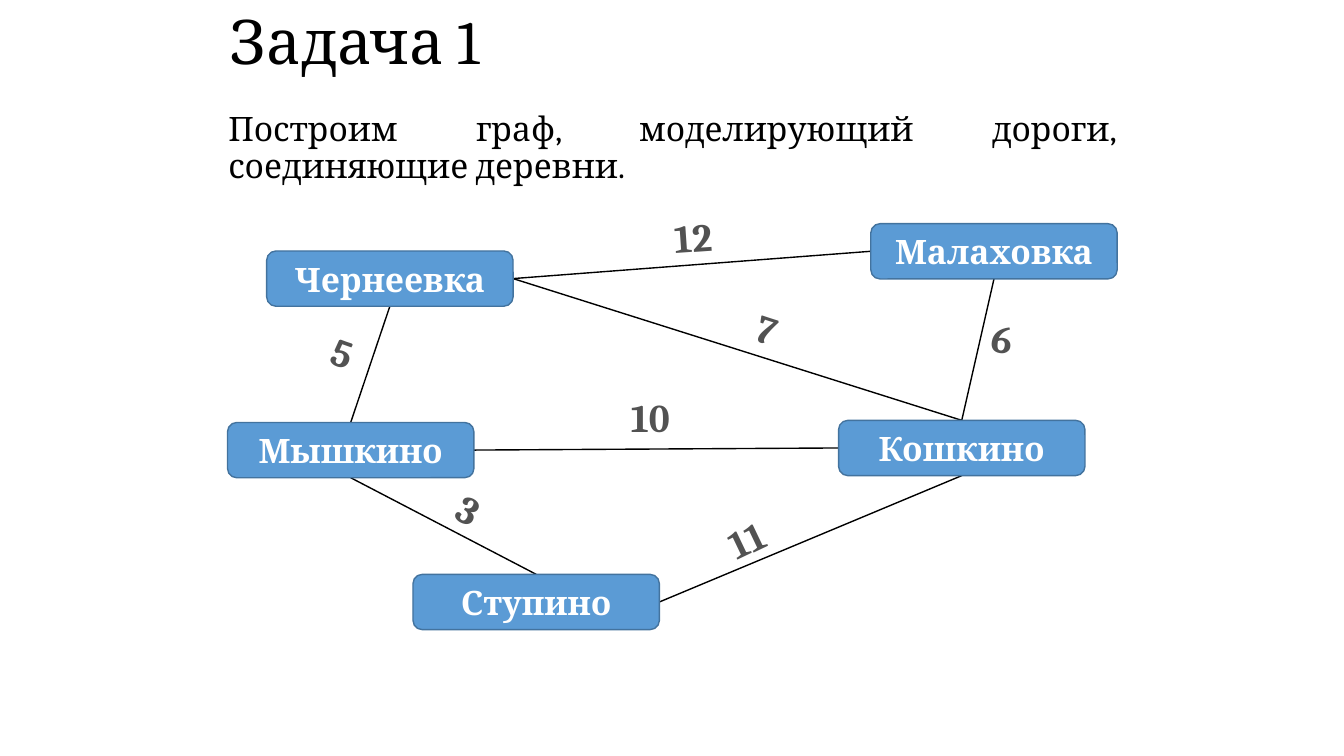
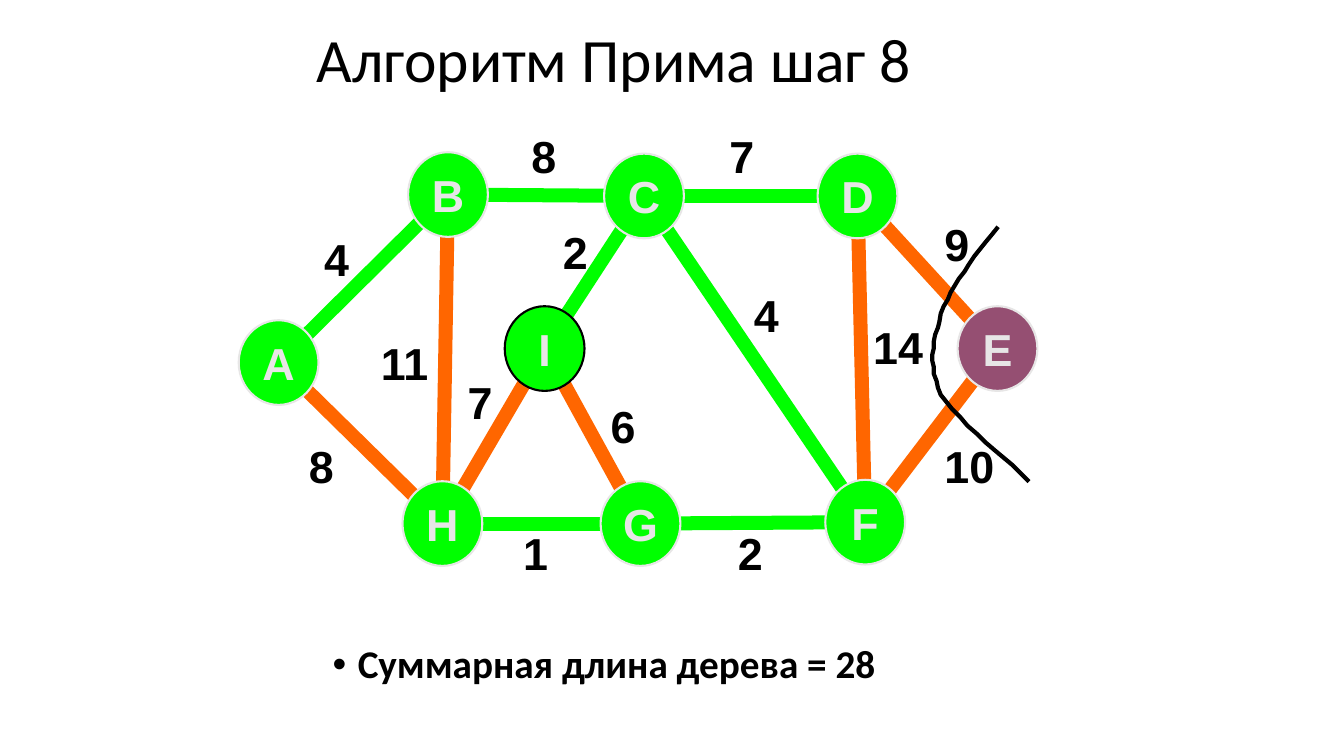
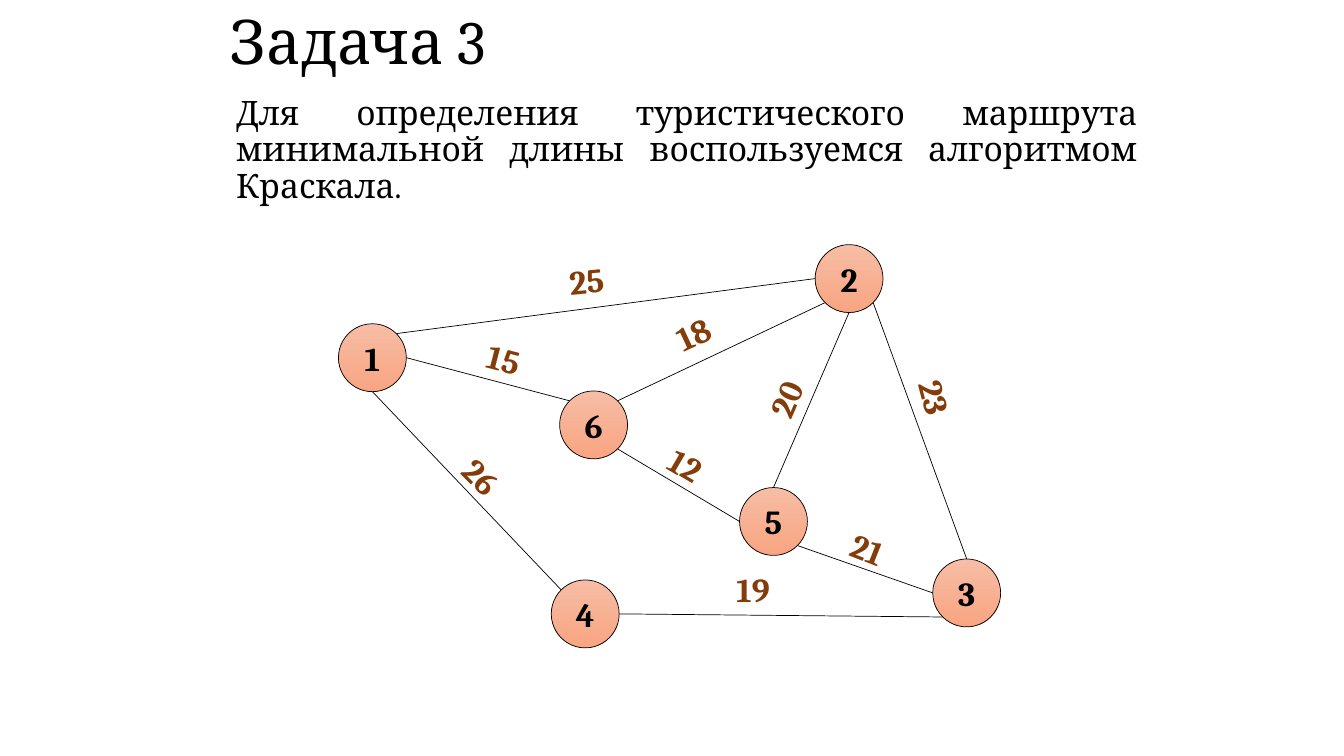
"""Three slides on weighted graphs: village roads, Prim's algorithm and a tourist route."""
from lxml import etree
from pptx import Presentation
from pptx.dml.color import RGBColor
from pptx.enum import shapes, text
from pptx.oxml import ns
from pptx.util import Pt

BLACK = RGBColor(0x00, 0x00, 0x00)
WHITE = RGBColor(0xFF, 0xFF, 0xFF)
BLUE = RGBColor(0x5B, 0x9B, 0xD5)
DARK_BLUE = RGBColor(0x43, 0x73, 0x9E)
DARK_GRAY = RGBColor(0x52, 0x52, 0x52)
PALE_GRAY = RGBColor(0xE7, 0xE6, 0xE6)
GREEN = RGBColor(0x00, 0xFF, 0x00)
ORANGE = RGBColor(0xFF, 0x66, 0x00)
PURPLE = RGBColor(0x95, 0x4F, 0x72)
PEACH = RGBColor(0xF7, 0xBD, 0xA5)
SALMON = RGBColor(0xF8, 0xA5, 0x82)
BROWN = RGBColor(0x84, 0x3C, 0x0B)

CENTER, LEFT, JUSTIFY = text.PP_ALIGN.CENTER, text.PP_ALIGN.LEFT, text.PP_ALIGN.JUSTIFY
MIDDLE, TOP = text.MSO_ANCHOR.MIDDLE, text.MSO_ANCHOR.TOP

MID, N, S, W, E = (0, 0), (0, -1), (0, 1), (-1, 0), (1, 0)
NE, NW, SE, SW = (0.71, -0.71), (-0.71, -0.71), (0.71, 0.71), (-0.71, 0.71)


def write(holder, words, font, size, color, bold=True, align=CENTER, anchor=MIDDLE, wrap=False):
    """Put one formatted paragraph into a shape and return it."""
    frame = holder.text_frame
    frame.text = words
    frame.word_wrap = wrap
    frame.auto_size = text.MSO_AUTO_SIZE.NONE
    frame.vertical_anchor = anchor
    paragraph = frame.paragraphs[0]
    paragraph.alignment = align
    paragraph.font.name = font
    paragraph.font.size = Pt(size)
    paragraph.font.bold = bold
    paragraph.font.color.rgb = color
    return paragraph


def link(slide, start, end, color, width):
    """Draw a straight edge without a shadow."""
    edge = slide.shapes.add_connector(
        shapes.MSO_CONNECTOR.STRAIGHT, *[Pt(v) for v in (*start, *end)])
    edge.line.color.rgb = color
    edge.line.width = Pt(width)
    etree.SubElement(edge._element.spPr, ns.qn("a:effectLst"))


roads = {
    "title": "Задача 1", "title_box": (157, 3.5, 648, 57), "title_font": "Cambria",
    "note": "Построим граф, моделирующий дороги, соединяющие деревни.",
    "note_box": (156, 77, 648, 68), "note_size": 24, "bullet": False,
    "outline": shapes.MSO_SHAPE.ROUNDED_RECTANGLE, "node_size": (176, 39.5),
    "node_text": ("Cambria", 24, WHITE), "border": 1, "edge_width": 1,
    "nodes": {
        "Чернеевка": (278.5, 199, [BLUE], DARK_BLUE),
        "Мышкино": (250.5, 321.5, [BLUE], DARK_BLUE),
        "Ступино": (383, 430, [BLUE], DARK_BLUE),
        "Кошкино": (687, 320, [BLUE], DARK_BLUE),
        "Малаховка": (710, 179.5, [BLUE], DARK_BLUE),
    },
    "edges": [
        ("Мышкино", N, "Чернеевка", S, BLACK),
        ("Кошкино", N, "Малаховка", S, BLACK),
        ("Мышкино", E, "Кошкино", W, BLACK),
        ("Чернеевка", E, "Малаховка", W, BLACK),
        ("Ступино", E, "Кошкино", S, BLACK),
        ("Ступино", N, "Мышкино", S, BLACK),
        ("Кошкино", N, "Чернеевка", E, BLACK),
    ],
    "weight_text": ("Cambria", 28, DARK_GRAY),
    "weights": [
        ("12", 495, 169, -3.9), ("7", 548, 234.5, 18), ("10", 464.5, 297.5, 0),
        ("11", 533, 385, -25.5), ("3", 335, 364, 27.9), ("6", 716, 241, 9.7),
        ("5", 245, 251.5, 19.3),
    ],
    "cut": [],
}

prim = {
    "title": "Алгоритм Прима шаг 8", "title_box": (219, 0, 586, 90), "title_font": "Calibri",
    "note": "Суммарная длина дерева = 28",
    "note_box": (230.5, 457, 521, 42.5), "note_size": 28, "bullet": True,
    "outline": shapes.MSO_SHAPE.OVAL, "node_size": (57, 60.5),
    "node_text": ("Arial", 32, PALE_GRAY), "border": 1.5, "edge_width": 10,
    "nodes": {
        "A": (199, 259, [GREEN], PALE_GRAY), "B": (320, 139, [GREEN], PALE_GRAY),
        "C": (460, 140, [GREEN], PALE_GRAY), "D": (612.5, 140, [GREEN], PALE_GRAY),
        "E": (712.5, 249, [PURPLE], PALE_GRAY), "F": (618, 373, [GREEN], PALE_GRAY),
        "G": (457.5, 374, [GREEN], PALE_GRAY), "H": (316, 374, [GREEN], PALE_GRAY),
        "I": (389, 249, [GREEN], BLACK),
    },
    "edges": [(a, MID, b, MID, color)
              for color, pairs in ((ORANGE, "GI IH BH HA EF DF DE"),
                                   (GREEN, "CF CI FG HG BC BA CD"))
              for a, b in pairs.split()],
    "weight_text": ("Arial", 32, BLACK),
    "weights": [
        ("4", 240.5, 185, 0), ("8", 229.5, 332.5, 0), ("11", 289, 259, 0),
        ("2", 411, 180, 0), ("7", 343, 287, 0), ("1", 382.5, 395, 0),
        ("6", 445, 304, 0), ("2", 536, 395, 0), ("4", 547.5, 225, 0),
        ("7", 530, 111, 0), ("8", 388.5, 111, 0), ("9", 683.5, 174, 0),
        ("14", 641.5, 247.5, 0), ("10", 692.5, 332.5, 0),
    ],
    "cut": [
        ((713, 162), (695.5, 183.5), (679.5, 204.5), (672.5, 224.5)),
        ((672.5, 224.5), (666, 245), (662.5, 261.5), (672.5, 281.5)),
        ((672.5, 281.5), (683.5, 301), (725, 333.5), (735, 343.5)),
    ],
}

route = {
    "title": "Задача 3", "title_box": (157, 3.5, 648, 57), "title_font": "Cambria",
    "note": "Для определения туристического маршрута минимальной длины "
            "воспользуемся алгоритмом Краскала.",
    "note_box": (161.5, 65.5, 658, 147.5), "note_size": 24, "bullet": False,
    "outline": shapes.MSO_SHAPE.OVAL, "node_size": (48.5, 48.5),
    "node_text": ("Cambria", 24, BLACK), "border": 0.5, "edge_width": 0.5,
    "nodes": {
        "1": (266, 255.5, [PEACH, SALMON], BLACK),
        "2": (606.5, 199, [PEACH, SALMON], BLACK),
        "3": (690.5, 423.5, [PEACH, SALMON], BLACK),
        "4": (418, 438.5, [PEACH, SALMON], BLACK),
        "5": (552.5, 372.5, [PEACH, SALMON], BLACK),
        "6": (424, 303.5, [PEACH, SALMON], BLACK),
    },
    "edges": [
        ("1", NE, "2", W, BLACK), ("6", NW, "1", E, BLACK), ("6", SE, "5", W, BLACK),
        ("1", S, "4", NW, BLACK), ("4", E, "3", SW, BLACK), ("2", SE, "3", N, BLACK),
        ("2", S, "5", N, BLACK), ("6", NE, "2", SW, BLACK), ("5", SE, "3", W, BLACK),
    ],
    "weight_text": ("Cambria", 24, BROWN),
    "weights": [
        ("25", 419, 200, -5.6), ("18", 495, 238, -25.2), ("15", 360, 256, 14.4),
        ("12", 490, 332, 30.5), ("20", 561, 285, -66.7), ("23", 668, 284, 75.3),
        ("21", 620, 392, 21.6), ("19", 538, 421, 0), ("26", 344, 340.5, 45.2),
    ],
    "cut": [],
}

deck = Presentation()
deck.slide_width, deck.slide_height = Pt(960), Pt(540)

for graph in (roads, prim, route):
    slide = deck.slides.add_slide(deck.slide_layouts[5])
    title = slide.shapes.title
    title.left, title.top, title.width, title.height = [Pt(v) for v in graph["title_box"]]
    heading = write(title, graph["title"], graph["title_font"], 44, BLACK,
                    bold=False, align=LEFT, wrap=True)
    heading.line_spacing = 0.9

    note_box = slide.shapes.add_textbox(*[Pt(v) for v in graph["note_box"]])
    bullet = graph["bullet"]
    note = write(note_box, graph["note"], graph["title_font"], graph["note_size"], BLACK,
                 bold=bullet, align=LEFT if bullet else JUSTIFY, anchor=TOP, wrap=True)
    note.line_spacing = 0.9
    note.space_before = Pt(10)
    if bullet:
        properties = note._p.get_or_add_pPr()
        properties.set("marL", str(Pt(18)))
        properties.set("indent", str(-Pt(18)))
        etree.SubElement(properties, ns.qn("a:buFont")).set("typeface", "Arial")
        etree.SubElement(properties, ns.qn("a:buChar")).set("char", "•")
        properties.append(properties.find(ns.qn("a:defRPr")))

    width, height = graph["node_size"]
    nodes = graph["nodes"]
    for first, first_side, second, second_side, color in graph["edges"]:
        start, end = [(nodes[name][0] + dx * width / 2, nodes[name][1] + dy * height / 2)
                      for name, (dx, dy) in ((first, first_side), (second, second_side))]
        link(slide, start, end, color, graph["edge_width"])

    for name, (x, y, colors, border) in nodes.items():
        node = slide.shapes.add_shape(graph["outline"], Pt(x - width / 2), Pt(y - height / 2),
                                      Pt(width), Pt(height))
        node.shadow.inherit = False
        if len(colors) == 1:
            node.fill.solid()
            node.fill.fore_color.rgb = colors[0]
        else:
            node.fill.gradient()
            node.fill.gradient_angle = 270
            for position, (stop, color) in enumerate(zip(node.fill.gradient_stops, colors)):
                stop.position = position
                stop.color.rgb = color
        node.line.color.rgb = border
        node.line.width = Pt(graph["border"])
        write(node, name, *graph["node_text"])

    for weight, x, y, angle in graph["weights"]:
        label = slide.shapes.add_textbox(Pt(x - 22), Pt(y - 20), Pt(44), Pt(40))
        label.rotation = angle
        write(label, weight, *graph["weight_text"])

    if graph["cut"]:
        points = [tuple((1 - t) ** 3 * a + 3 * t * (1 - t) ** 2 * b
                        + 3 * t ** 2 * (1 - t) * c + t ** 3 * d
                        for a, b, c, d in zip(*bend))
                  for bend in graph["cut"] for t in [step / 12 for step in range(13)]]
        builder = slide.shapes.build_freeform(*points[0], scale=Pt(1))
        builder.add_line_segments(points[1:], close=False)
        cut = builder.convert_to_shape()
        cut.shadow.inherit = False
        cut.fill.background()
        cut.line.color.rgb = BLACK
        cut.line.width = Pt(3)

deck.save("out.pptx")
